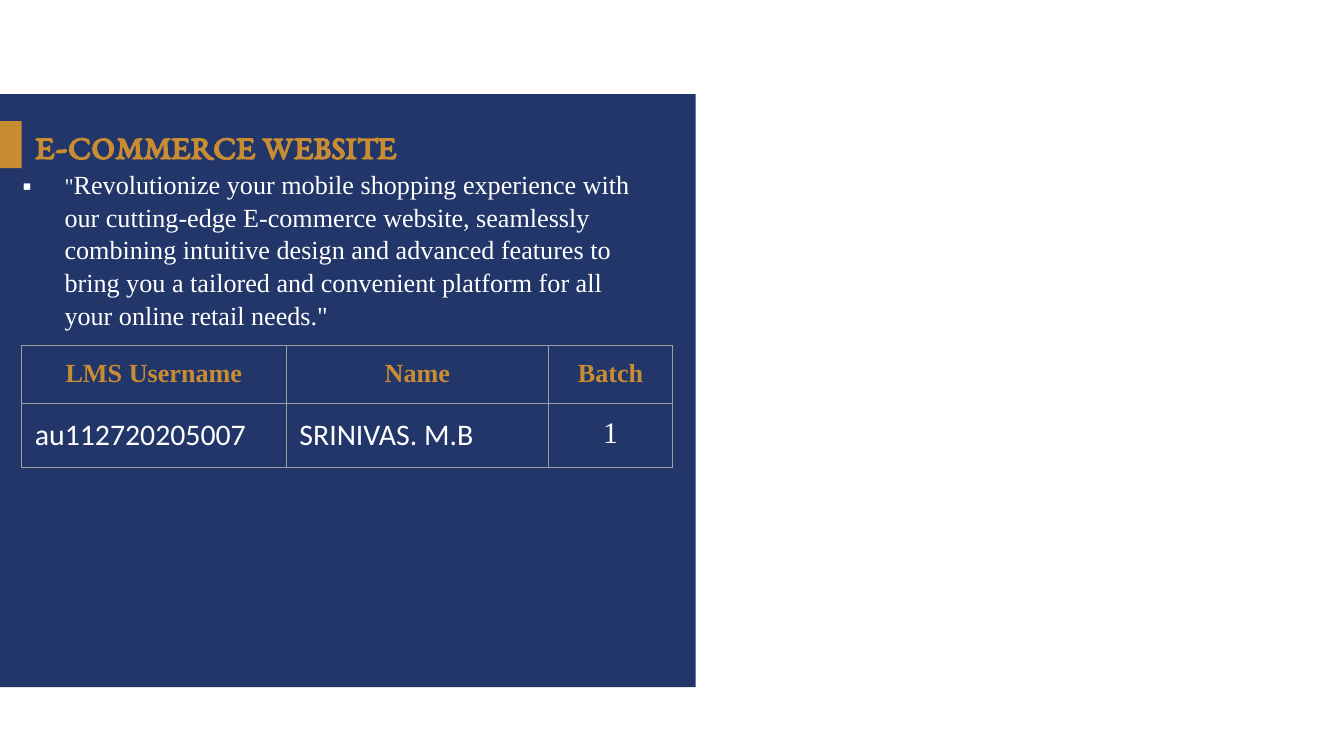
import pptx
import pptx.dml.color
import pptx.enum.shapes
import pptx.enum.text
import pptx.oxml
import pptx.oxml.ns
import pptx.util
from pptx.util import Cm

NAVY, GOLD, WHITE, GREY = "223669", "C88C32", "FFFFFF", "9E9E9E"
SERIF = "Times New Roman"
ALIGN = pptx.enum.text.PP_ALIGN
ANCHOR = pptx.enum.text.MSO_ANCHOR

DESCRIPTION = (
    "Revolutionize your mobile shopping experience with our cutting-edge "
    "E-commerce website, seamlessly combining intuitive design and advanced "
    "features to bring you a tailored and convenient platform for all your "
    "online retail needs.\""
)
HEADER = {"name": SERIF, "size": 14, "color": GOLD, "bold": True}
ENTRY = {"name": "Calibri", "size": 16, "color": WHITE, "bold": False}
NUMBER = {**ENTRY, "name": SERIF}


def rgb(value):
    return pptx.dml.color.RGBColor.from_string(value)


def style(font, values):
    for key, value in values.items():
        if key == "color":
            font.color.rgb = rgb(value)
        else:
            setattr(font, key, pptx.util.Pt(value) if key == "size" else value)


def add_span(para, text, values):
    span = para.add_run()
    span.text = text
    style(span.font, values)


def element(markup):
    """Parse one drawing element written without its namespace."""
    space = pptx.oxml.ns.nsdecls("a")
    name, rest = markup[1:].split(" ", 1)
    return pptx.oxml.parse_xml(f"<{name} {space} {rest}")


def add_panel(page, place, color):
    """Add a plain rectangle behind the title."""
    panel = page.shapes.add_shape(
        pptx.enum.shapes.MSO_SHAPE.RECTANGLE, *map(Cm, place))
    panel.shadow.inherit = False
    panel.fill.solid()
    panel.fill.fore_color.rgb = rgb(color)
    panel.line.fill.background()
    page.shapes.title.element.addprevious(panel.element)


def set_title(page, text):
    title = page.shapes.title
    title.left, title.top, title.width, title.height = map(
        Cm, (0.41, 2.26, 9.5, 0.97))
    frame = title.text_frame
    frame.auto_size = pptx.enum.text.MSO_AUTO_SIZE.NONE
    frame.vertical_anchor = ANCHOR.MIDDLE
    para = frame.paragraphs[0]
    para.alignment = ALIGN.LEFT
    add_span(para, text, {"name": "EB Garamond", "size": 18.3,
                          "color": GOLD, "bold": True})


def add_description(page):
    box = page.shapes.add_textbox(*map(Cm, (0.18, 3.02, 12.29, 2.74)))
    frame = box.text_frame
    frame.word_wrap = True
    para = frame.paragraphs[0]
    para.line_spacing = 1.05
    # Square bullet with a hanging indent
    properties = para._p.get_or_add_pPr()
    properties.set("marL", str(Cm(0.79)))
    properties.set("indent", str(Cm(-0.79)))
    properties.append(element(f'<a:buClr ><a:srgbClr val="{WHITE}"/></a:buClr>'))
    properties.append(element('<a:buFont typeface="Noto Sans Symbols"/>'))
    properties.append(element('<a:buChar char="▪"/>'))
    for text, size in (("\"", 12), (DESCRIPTION, 14)):
        add_span(para, text, {"name": SERIF, "size": size, "color": WHITE})


def add_borders(cell):
    properties = cell._tc.get_or_add_tcPr()
    for index, side in enumerate(("lnL", "lnR", "lnT", "lnB")):
        properties.insert(index, element(
            f'<a:{side} w="{pptx.util.Pt(0.75)}"><a:solidFill>'
            f'<a:srgbClr val="{GREY}"/></a:solidFill></a:{side}>'))


def fill_cell(cell, text, values, alignment):
    for side in ("left", "right", "top", "bottom"):
        setattr(cell, f"margin_{side}", Cm(0.25))
    cell.fill.background()
    add_borders(cell)
    para = cell.text_frame.paragraphs[0]
    para.alignment = alignment
    add_span(para, text, values)


def add_members(page):
    rows = (
        [(text, HEADER, ALIGN.CENTER)
         for text in ("LMS Username", "Name", "Batch")],
        [("au112720205007", ENTRY, ALIGN.LEFT),
         ("SRINIVAS. M.B", ENTRY, ALIGN.LEFT),
         ("1", NUMBER, ALIGN.CENTER)],
    )
    widths, heights = (5, 4.96, 2.34), (1.05, 1.2)
    table = page.shapes.add_table(
        len(rows), len(widths), Cm(0.41), Cm(6.53),
        Cm(sum(widths)), Cm(sum(heights))).table
    table.first_row = table.horz_banding = False
    for column, width in zip(table.columns, widths):
        column.width = Cm(width)
    for row, height, entries in zip(table.rows, heights, rows):
        row.height = Cm(height)
        for cell, entry in zip(row.cells, entries):
            fill_cell(cell, *entry)


def main():
    deck = pptx.Presentation()
    deck.slide_width, deck.slide_height = Cm(25.4), Cm(14.28)
    page = deck.slides.add_slide(deck.slide_layouts.get_by_name("Title Only"))
    # Background panel and accent tab
    add_panel(page, (0, 1.78, 13.15, 11.2), NAVY)
    add_panel(page, (0, 2.29, 0.41, 0.89), GOLD)
    # Content
    set_title(page, "E-COMMERCE WEBSITE")
    add_description(page)
    add_members(page)
    deck.save("out.pptx")


if __name__ == "__main__":
    main()
